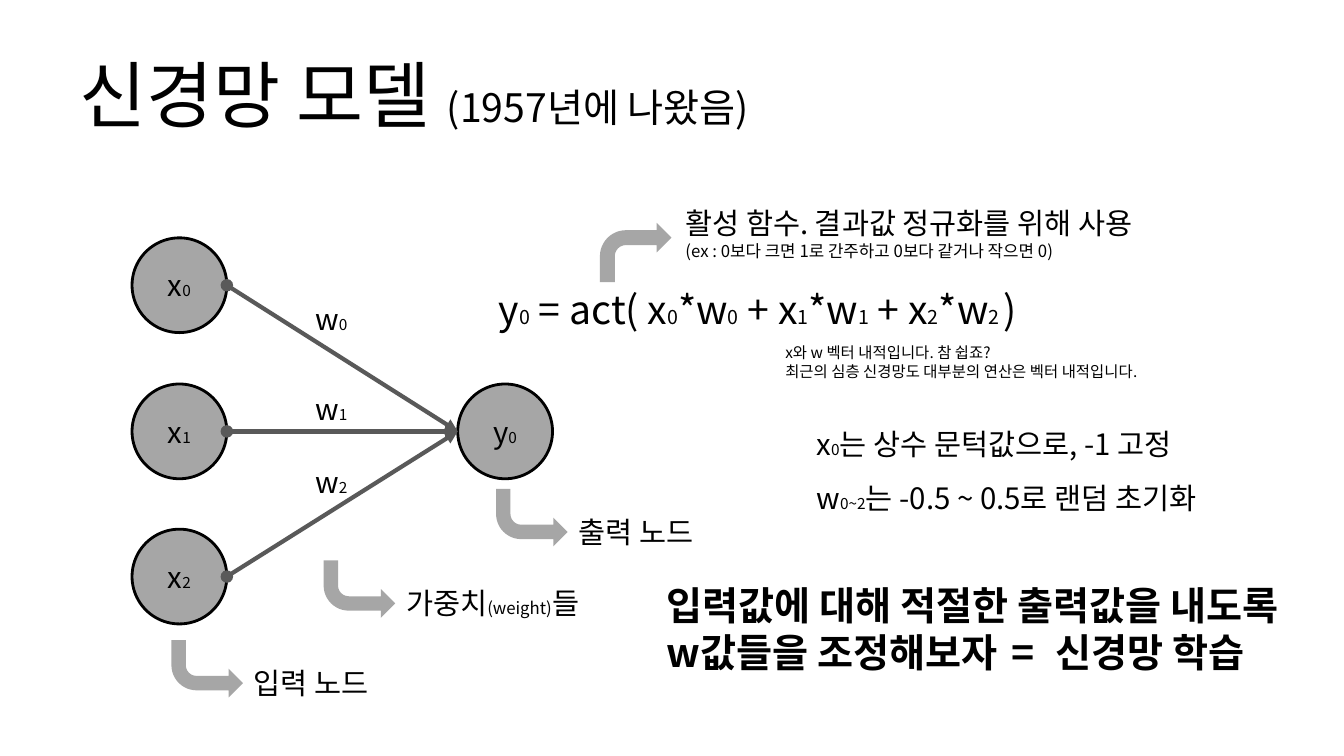
from dataclasses import dataclass

from lxml import etree
from pptx import Presentation
from pptx import util as u
from pptx.dml.color import RGBColor
from pptx.enum import shapes, text
from pptx.oxml import ns


@dataclass(frozen=True)
class Theme:
    font: str = "Noto Sans CJK KR"
    ink: str = "000000"
    gray: str = "A6A6A6"
    edge: str = "595959"
    title: int = 52
    large: int = 28
    body: int = 21
    sub_large: int = 14
    note: int = 12
    small: int = 11


class Slide:
    """Holds the theme and the current slide."""

    def __init__(self, deck, theme):
        self.theme = theme
        self.shapes = deck.slides.add_slide(deck.slide_layouts[6]).shapes

    def add_spans(self, frame, paragraphs, align=None, bold=None):
        """Each paragraph is a list of (words, size[, letter spacing])."""
        for index, spans in enumerate(paragraphs):
            para = frame.add_paragraph() if index else frame.paragraphs[0]
            para.alignment = align
            for words, size, *spacing in spans:
                span = para.add_run()
                span.text = words
                span.font.size = u.Pt(size)
                span.font.bold = bold
                span.font.name = self.theme.font
                span.font.color.rgb = RGBColor.from_string(self.theme.ink)
                properties = span.font._element
                east_asian = etree.SubElement(properties, ns.qn("a:ea"))
                east_asian.set("typeface", self.theme.font)
                if spacing:
                    properties.set("spc", str(spacing[0]))

    def label(self, left, top, width, height, *paragraphs, bold=None,
              anchor=text.MSO_ANCHOR.TOP):
        box = self.shapes.add_textbox(
            u.Inches(left), u.Inches(top), u.Inches(width), u.Inches(height))
        box.text_frame.word_wrap = True
        box.text_frame.vertical_anchor = anchor
        self.add_spans(box.text_frame, paragraphs, bold=bold)
        return box

    def solid(self, kind, left, top, width, height):
        shape = self.shapes.add_shape(
            kind, u.Inches(left), u.Inches(top), u.Inches(width), u.Inches(height))
        shape.shadow.inherit = False
        shape.fill.solid()
        shape.fill.fore_color.rgb = RGBColor.from_string(self.theme.gray)
        shape.line.fill.background()
        return shape

    def node(self, left, middle, size, spans):
        circle = self.solid(
            shapes.MSO_SHAPE.OVAL, left, middle - size / 2, size, size)
        circle.line.color.rgb = RGBColor.from_string(self.theme.ink)
        circle.line.width = u.Pt(2)
        circle.text_frame.vertical_anchor = text.MSO_ANCHOR.MIDDLE
        self.add_spans(circle.text_frame, [spans], text.PP_ALIGN.CENTER)

    def bent_arrow(self, left, top, height=0.57, flipped=True):
        arrow = self.solid(shapes.MSO_SHAPE.BENT_ARROW, left, top, 0.71, height)
        if flipped:
            arrow._element.spPr.xfrm.set("flipV", "1")

    def edge(self, start, end):
        line = self.shapes.add_connector(
            shapes.MSO_CONNECTOR.STRAIGHT, *map(u.Inches, (*start, *end)))
        line.line.color.rgb = RGBColor.from_string(self.theme.edge)
        line.line.width = u.Pt(3)
        properties = line._element.spPr
        outline = properties.find(ns.qn("a:ln"))
        for tag, kind in (("a:headEnd", "oval"), ("a:tailEnd", "triangle")):
            etree.SubElement(outline, ns.qn(tag)).set("type", kind)
        etree.SubElement(properties, ns.qn("a:effectLst"))


def main():
    deck = Presentation()
    deck.slide_width, deck.slide_height = u.Inches(13.33), u.Inches(7.5)
    theme = Theme()
    slide = Slide(deck, theme)

    def indexed(letter, index):
        return [(letter, theme.body), (index, theme.small)]

    # Title
    title = slide.label(
        0.67, 0.3, 12, 1.25,
        [("신경망 모델 ", theme.title), ("(1957년에 나왔음)", theme.large)],
        anchor=text.MSO_ANCHOR.MIDDLE)
    title.text_frame.margin_left = title.text_frame.margin_right = u.Inches(0.12)
    title.text_frame.margin_top = title.text_frame.margin_bottom = u.Inches(0.06)

    # Network: inputs, weights and output
    size, input_left, output_left, output_middle = 0.94, 1.31, 4.54, 4.28
    weight_tops = (2.94, 3.83, 4.56)
    slide.node(output_left, output_middle, size, indexed("y", "0"))
    for index, middle in enumerate((2.83, 4.28, 5.72)):
        slide.node(input_left, middle, size, indexed("x", str(index)))
        slide.edge((input_left + size, middle), (output_left, output_middle))
        slide.label(3.03, weight_tops[index], 0.54, 0.45,
                    indexed("w", str(index)))

    # Callouts under the network
    callouts = (
        (1.7, 6.35, 1.39, [("입력 노드", theme.body)]),
        (3.21, 5.56, 1.97, [("가중치", theme.body), ("(weight)", theme.note),
                            ("들", theme.body)]),
        (4.92, 4.85, 1.39, [("출력 노드", theme.body)]),
    )
    for left, top, width, spans in callouts:
        slide.bent_arrow(left, top)
        slide.label(left + 0.72, top + 0.2, width, 0.45, spans)

    # Formula: letters alternate with their small indices
    pieces = ("y", "0", " = act( x", "0", "*w", "0", " + x", "1", "*w", "1",
              " + x", "2", "*w", "2 ", ")")
    sizes = (theme.large, theme.sub_large)
    slide.label(4.85, 2.78, 5.91, 0.57,
                [(piece, sizes[i % 2]) for i, piece in enumerate(pieces)])

    # Notes on the formula
    slide.bent_arrow(5.95, 2.21, 0.59, flipped=False)
    slide.label(
        6.7, 1.99, 4.86, 0.66,
        [("활성 함수. 결과값 정규화를 위해 사용", theme.body)],
        [("(ex : 0보다 크면 1로 간주하고 0보다 같거나 작으면 0)", theme.note)])
    slide.label(
        7.69, 3.36, 3.86, 0.47,
        [("x와 w 벡터 내적입니다. 참 쉽죠?", theme.small)],
        [("최근의 심층 신경망도 대부분의 연산은 벡터 내적입니다.", theme.small)])

    # Starting values
    slide.label(8, 4.18, 4.05, 0.45,
                indexed("x", "0") + [("는 상수 문턱값으로, -1 고정", theme.body)])
    slide.label(8, 4.71, 4.28, 0.45,
                indexed("w", "0~2") + [("는 -0.5 ~ 0.5로 랜덤 초기화", theme.body)])

    # Conclusion
    slide.label(
        6.51, 5.72, 6.78, 1.04,
        [("입력값에 대해 적절한 출력값을 내도록", theme.large)],
        [("w값들을 조정해보자", theme.large), (" = ", theme.large, 420),
         ("신경망 학습", theme.large)],
        bold=True)

    deck.save("out.pptx")


if __name__ == "__main__":
    main()
